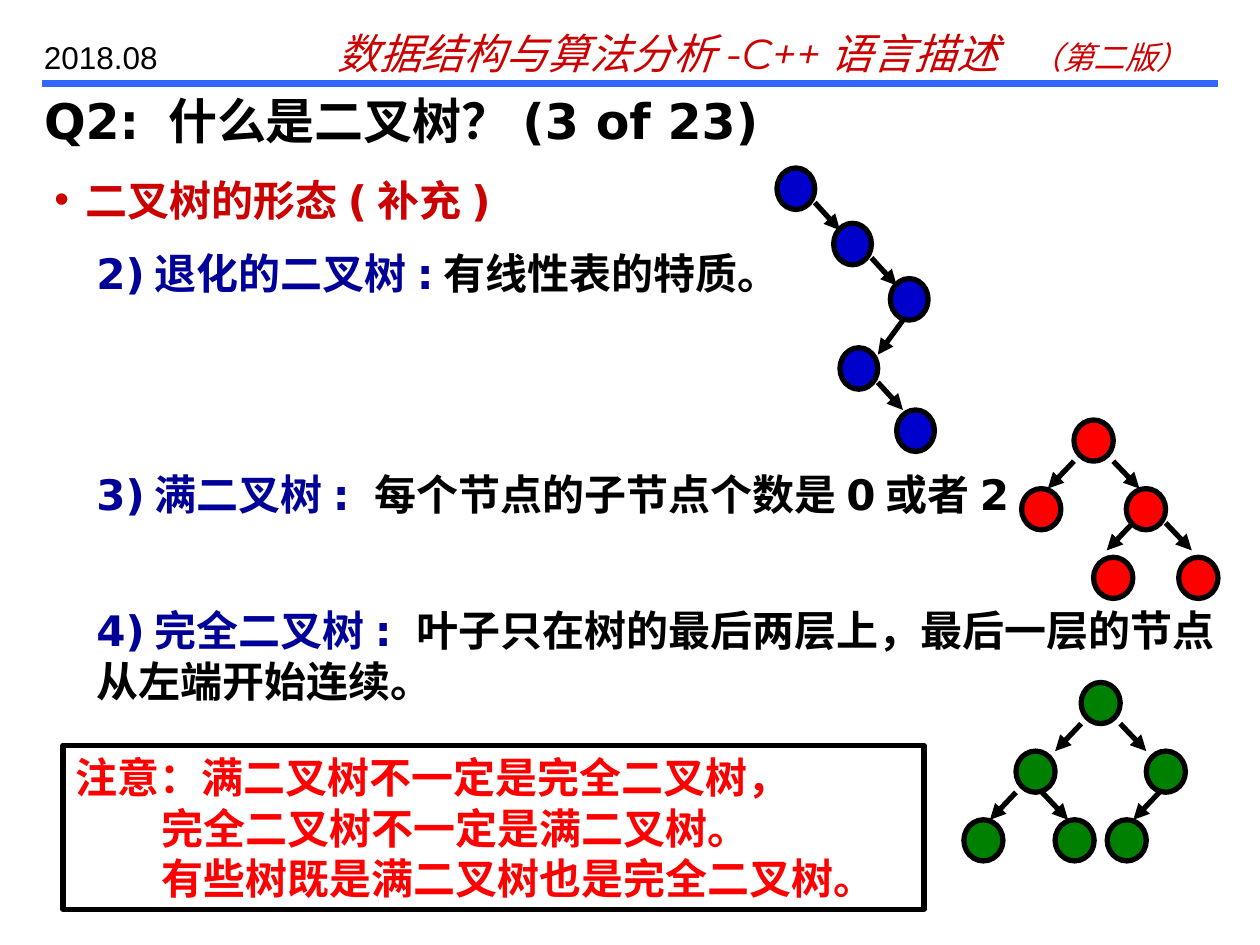
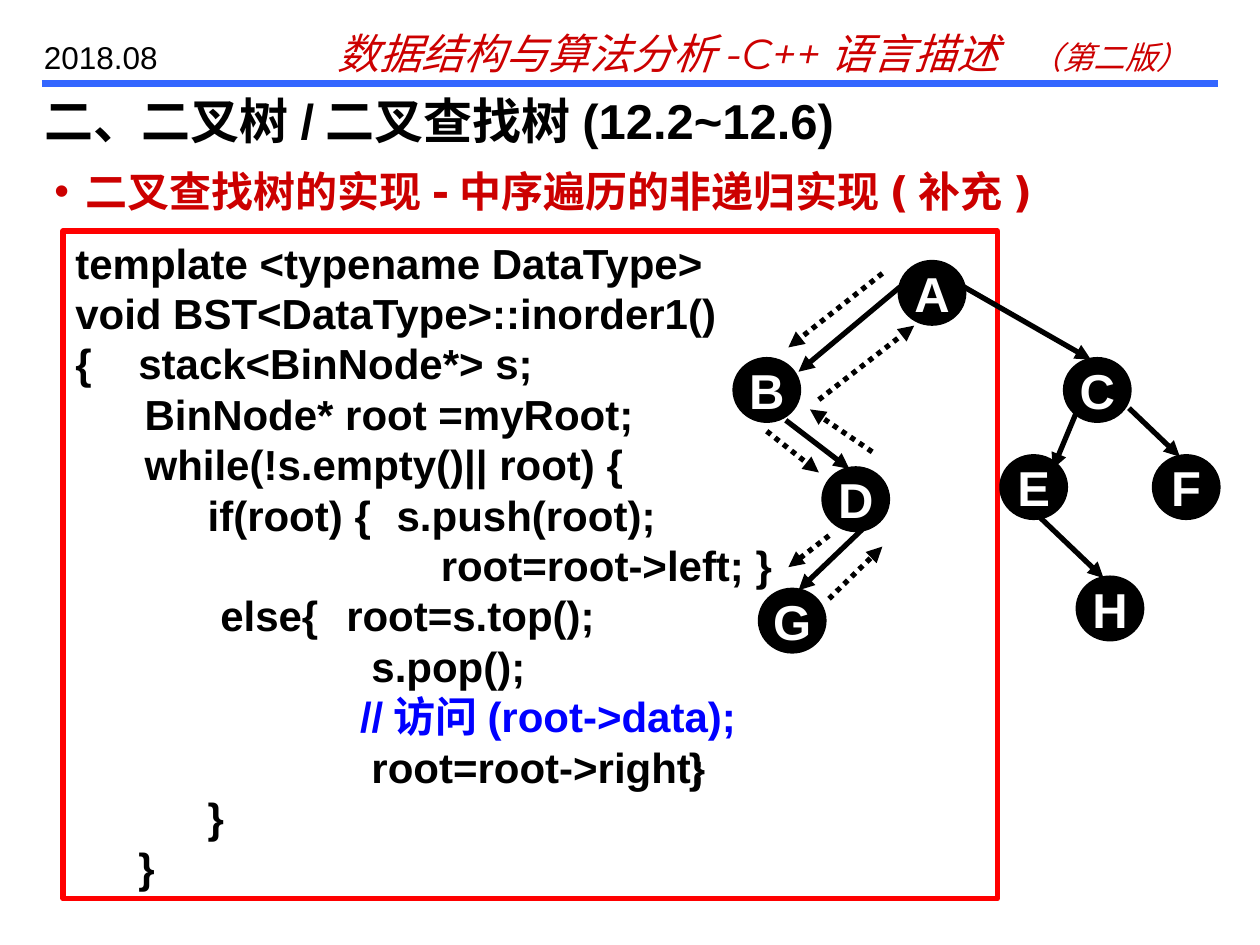
from dataclasses import dataclass

from lxml import etree
from pptx import Presentation
from pptx.dml.color import RGBColor
from pptx.enum.dml import MSO_LINE
from pptx.enum.shapes import MSO_CONNECTOR, MSO_SHAPE
from pptx.enum.text import MSO_ANCHOR, MSO_AUTO_SIZE, PP_ALIGN
from pptx.oxml.ns import qn
from pptx.util import Inches, Pt

STRAIGHT = MSO_CONNECTOR.STRAIGHT
ELLIPSE, RECTANGLE = MSO_SHAPE.OVAL, MSO_SHAPE.RECTANGLE
TOP, MIDDLE = MSO_ANCHOR.TOP, MSO_ANCHOR.MIDDLE
LEFT, CENTER = PP_ALIGN.LEFT, PP_ALIGN.CENTER
DOTTED = MSO_LINE.ROUND_DOT
FIXED_SIZE = MSO_AUTO_SIZE.NONE

BLACK = RGBColor(0x00, 0x00, 0x00)
WHITE = RGBColor(0xFF, 0xFF, 0xFF)
RULE_BLUE = RGBColor(0x33, 0x66, 0xFF)
HEADING_RED = RGBColor(0xCC, 0x00, 0x00)
TERM_BLUE = RGBColor(0x00, 0x00, 0x99)
NODE_BLUE = RGBColor(0x00, 0x00, 0xCC)
RED = RGBColor(0xFF, 0x00, 0x00)
GREEN = RGBColor(0x00, 0x80, 0x00)
COMMENT_BLUE = RGBColor(0x00, 0x00, 0xFF)

SANS, ARIAL, HEADER_FONT = "DejaVu Sans", "Arial", "Montserrat"
BODY_SIZE = 24
LINE_WEIGHT = Pt(3)
SLIDE_WIDTH, SLIDE_HEIGHT = Inches(10), Inches(7.5)


@dataclass
class Box:
    left: float
    top: float
    width: float
    height: float

    def cell(self, columns, rows, left, top, width=0, height=0):
        """Return the part of this box that covers the given cells of a grid."""
        across, down = self.width / columns, self.height / rows
        return Box(self.left + left * across, self.top + top * down, width * across, height * down)

    def emu(self):
        return [round(length) for length in (self.left, self.top, self.width, self.height)]


PAGE = Box(0, 0, SLIDE_WIDTH, SLIDE_HEIGHT)


def on_page(left, top, width=0, height=0):
    """Place a box on the page grid of 120 columns by 90 rows."""
    return PAGE.cell(120, 90, left, top, width, height)


def style(paragraph, font_name, size, color, bold=True):
    font = paragraph.font
    font.name, font.size, font.bold = font_name, Pt(size), bold
    font.color.rgb = color


def indent(paragraph, first_line, tab=None, hanging=0):
    """Set the left indent and one optional tab stop, in inches."""
    properties = paragraph._p.get_or_add_pPr()
    properties.set("marL", str(Inches(first_line)))
    properties.set("indent", str(Inches(-hanging)))
    if tab:
        stops = etree.SubElement(properties, qn("a:tabLst"))
        etree.SubElement(stops, qn("a:tab"), pos=str(Inches(tab)), algn="l")


def add_bullet(paragraph, color):
    properties = paragraph._p.get_or_add_pPr()
    bullet_color = etree.SubElement(properties, qn("a:buClr"))
    etree.SubElement(bullet_color, qn("a:srgbClr"), val=str(color))
    etree.SubElement(properties, qn("a:buFont"), typeface=ARIAL)
    etree.SubElement(properties, qn("a:buChar"), char="•")


def add_line(slide, start, end, color=BLACK, weight=LINE_WEIGHT, arrow=True, dotted=False):
    line = slide.shapes.add_connector(
        STRAIGHT, *start.emu()[:2], *end.emu()[:2])
    line.line.color.rgb, line.line.width = color, weight
    if dotted:
        line.line.dash_style = DOTTED
    if arrow:
        etree.SubElement(line.line._get_or_add_ln(), qn("a:tailEnd"), type="triangle")
    etree.SubElement(line._element.spPr, qn("a:effectLst"))


def add_outlined(slide, kind, box, line_color, fill=None):
    shape = slide.shapes.add_shape(kind, *box.emu())
    shape.shadow.inherit = False
    shape.line.color.rgb, shape.line.width = line_color, LINE_WEIGHT
    if fill is None:
        shape.fill.background()
    else:
        shape.fill.solid()
        shape.fill.fore_color.rgb = fill
    return shape


def add_text(slide, box, *parts):
    """Add one wrapped paragraph whose parts are (text, colour) runs."""
    frame = slide.shapes.add_textbox(*box.emu()).text_frame
    frame.word_wrap = True
    paragraph = frame.paragraphs[0]
    for text, color in parts:
        run = paragraph.add_run()
        run.text = text
        run.font.color.rgb = color
    return paragraph


def add_header(slide):
    add_line(slide, on_page(4, 8), on_page(116, 8), RULE_BLUE, Pt(4), arrow=False)
    course = add_text(slide, on_page(31, 2, 84, 6),
                      ("数据结构与算法分析-C++语言描述\t", HEADING_RED), ("（第二版）", HEADING_RED))
    style(course, HEADER_FONT, 24, HEADING_RED, bold=False)
    course.font.italic = True
    course.runs[1].font.size = Pt(18)
    indent(course, 0, tab=5.43)
    date = add_text(slide, on_page(3, 3, 17, 4.8), ("2018.08", BLACK))
    style(date, ARIAL, 18, BLACK, bold=False)


def add_titled_slide(prs, title, font_name):
    slide = prs.slides.add_slide(prs.slide_layouts[5])
    add_header(slide)
    heading = slide.shapes.title
    heading.left, heading.top, heading.width, heading.height = on_page(3, 8, 117, 6).emu()
    frame = heading.text_frame
    frame.text = title
    frame.vertical_anchor, frame.auto_size = TOP, FIXED_SIZE
    frame.paragraphs[0].alignment = LEFT
    style(frame.paragraphs[0], font_name, 28, BLACK)
    return slide


def add_topic(slide, box, text):
    topic = add_text(slide, box, (text, HEADING_RED))
    style(topic, SANS, BODY_SIZE, HEADING_RED)
    indent(topic, 0.25, hanging=0.25)
    add_bullet(topic, HEADING_RED)


def add_definition(slide, box, term, meaning):
    definition = add_text(slide, box, (term, TERM_BLUE), (meaning, BLACK))
    style(definition, SANS, BODY_SIZE, BLACK)


def add_links(slide, box, grid, links, dotted=False):
    for x1, y1, x2, y2 in links:
        add_line(slide, box.cell(*grid, x1, y1), box.cell(*grid, x2, y2), dotted=dotted)


def add_plain_tree(slide, box, grid, color, nodes, links):
    """Draw unlabelled nodes, six grid cells across, and the arrows between them."""
    for x, y in nodes:
        add_outlined(slide, ELLIPSE, box.cell(*grid, x, y, 6, 6), BLACK, color)
    add_links(slide, box, grid, links)


def add_lettered_tree(slide, box, grid, nodes, links, visits):
    """Draw lettered nodes, solid child links and the dotted traversal route."""
    for letter, (x, y) in nodes.items():
        node = add_outlined(slide, ELLIPSE, box.cell(*grid, x, y, 5, 5), BLACK, BLACK)
        frame = node.text_frame
        frame.text = letter
        frame.word_wrap, frame.vertical_anchor = False, MIDDLE
        label = frame.paragraphs[0]
        label.alignment, label.space_before = CENTER, Pt(7)
        style(label, ARIAL, 28, WHITE)
    add_links(slide, box, grid, links)
    add_links(slide, box, grid, visits, dotted=True)


def add_framed_lines(slide, box, frame_color, font_name, text_color, lines):
    """Fill a frame with (indent, tab stop, text[, colour]) lines."""
    frame = add_outlined(slide, RECTANGLE, box, frame_color).text_frame
    frame.word_wrap, frame.vertical_anchor = True, TOP
    for number, (left, tab, text, *color) in enumerate(lines):
        paragraph = frame.add_paragraph() if number else frame.paragraphs[0]
        paragraph.alignment = LEFT
        paragraph.add_run().text = text
        style(paragraph, font_name, BODY_SIZE, *(color or [text_color]))
        indent(paragraph, left, tab)


def build_tree_forms(prs):
    slide = add_titled_slide(prs, "Q2: 什么是二叉树？(3 of 23)", SANS)
    add_topic(slide, on_page(4, 16, 116, 6), "二叉树的形态(补充)")
    add_definition(slide, on_page(8, 23, 109, 6), "2)退化的二叉树:", "有线性表的特质。")
    add_definition(slide, on_page(8, 44, 109, 6), "3)满二叉树: ", "每个节点的子节点个数是0或者2。")
    add_definition(slide, on_page(8, 57, 109, 10.8), "4)完全二叉树: ",
                   "叶子只在树的最后两层上，最后一层的节点从左端开始连续。")
    add_plain_tree(
        slide, on_page(74, 16, 15, 27), (25, 41), NODE_BLUE,
        [(0, 0), (9, 8), (18, 16), (10, 26), (19, 35)],
        [(6, 5, 10, 9), (15, 13, 19, 17), (20, 22, 16, 27), (16, 31, 20, 35)])
    add_plain_tree(
        slide, on_page(97.3, 40, 18.7, 17), (30, 26), RED,
        [(8, 0), (0, 10), (16, 10), (11, 20), (24, 20)],
        [(8, 6, 4, 10), (14, 6, 18, 10), (17, 15, 13, 19), (22, 15, 26, 19)])
    add_plain_tree(
        slide, on_page(91.8, 65, 21.1, 17), (34, 26), GREEN,
        [(18, 0), (8, 10), (28, 10), (0, 20), (14, 20), (22, 20)],
        [(18, 6, 14, 10), (24, 6, 28, 10), (8, 16, 4, 20), (12, 16, 16, 20), (30, 16, 26, 20)])
    add_framed_lines(slide, on_page(6, 71, 82, 15.6), BLACK, SANS, RED, [
        (0, None, "注意：满二叉树不一定是完全二叉树，"),
        (0.68, None, "完全二叉树不一定是满二叉树。"),
        (0.68, None, "有些树既是满二叉树也是完全二叉树。"),
    ])


def build_inorder_traversal(prs):
    slide = add_titled_slide(prs, "二、二叉树/二叉查找树(12.2~12.6)", ARIAL)
    add_topic(slide, on_page(4, 15.2, 116, 6), "二叉查找树的实现-中序遍历的非递归实现(补充)")
    add_framed_lines(slide, on_page(6, 22, 89, 63.6), RED, ARIAL, BLACK, [
        (0, None, "template <typename DataType>"),
        (0, None, "void BST<DataType>::inorder1()"),
        (0, 0.31, "{\tstack<BinNode*> s;"),
        (0.55, None, "BinNode* root =myRoot;"),
        (0.55, None, "while(!s.empty()|| root) {"),
        (1.05, 2.81, "if(root) {\ts.push(root);"),
        (2.9, None, "root=root->left; }"),
        (1.15, 2.3, "else{\troot=s.top();"),
        (2.35, None, "s.pop();"),
        (2.26, None, "//访问(root->data);", COMMENT_BLUE),
        (2.35, 5.45, "root=root->right;\t}"),
        (1.05, None, "}"),
        (0.5, None, "}"),
    ])
    add_lettered_tree(
        slide, on_page(70, 25, 46, 37), (38, 32),
        {"A": (13, 0), "B": (0, 8), "C": (26, 8), "D": (7, 17),
         "E": (21, 16), "F": (33, 16), "G": (2, 27), "H": (27, 26)},
        [(13, 2, 5, 9), (18, 2, 28, 8), (4, 13, 9, 17), (27, 12, 25, 17),
         (31, 12, 35, 16), (10, 22, 5, 27), (24, 21, 29, 26)],
        [(11.6, 0.9, 4.2, 7), (6.6, 11.3, 14.1, 5.2), (2.5, 13.9, 6.6, 17.3),
         (10.8, 15.6, 5.9, 12.1), (7.4, 22.5, 4.2, 25.1), (7.4, 27.7, 11.6, 23.4)])


def main():
    prs = Presentation()
    prs.slide_width, prs.slide_height = SLIDE_WIDTH, SLIDE_HEIGHT
    build_tree_forms(prs)
    build_inorder_traversal(prs)
    prs.save("out.pptx")


if __name__ == "__main__":
    main()
